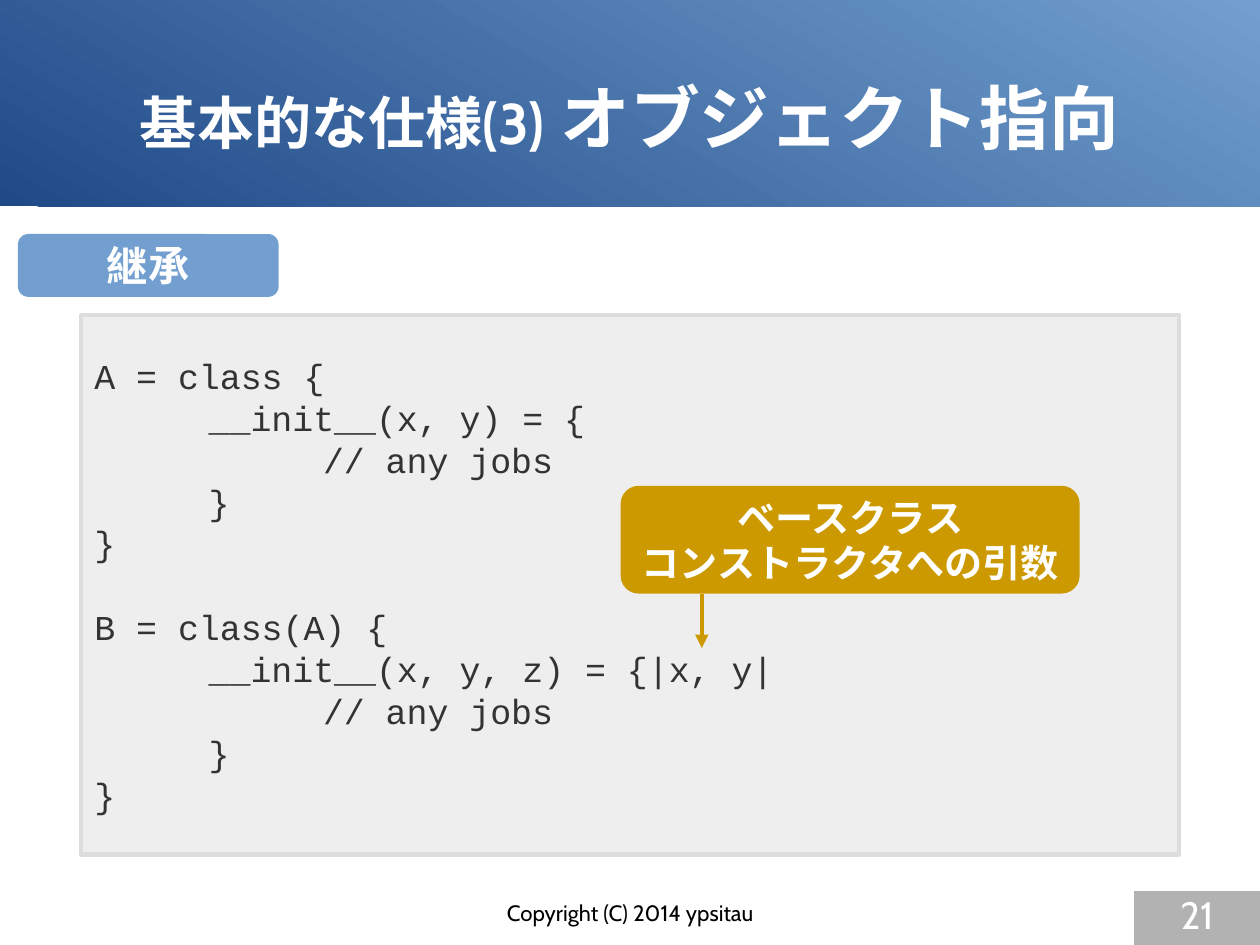
"""Build the slide on class inheritance with its code sample and callout."""
from lxml.etree import SubElement
from pptx import Presentation
from pptx.dml.color import RGBColor
from pptx.enum.shapes import MSO_CONNECTOR, MSO_SHAPE
from pptx.enum.text import MSO_ANCHOR, PP_ALIGN
from pptx.oxml.ns import qn
from pptx.util import Pt

COLORS = {
    "navy": "204A87",
    "sky": "729FCF",
    "white": "FFFFFF",
    "black": "000000",
    "code": "333333",
    "panel": "EEEEEE",
    "border": "DDDDDD",
    "gold": "CC9900",
    "gray": "B2B2B2",
}
SLIDE_WIDTH = 793.75
SLIDE_HEIGHT = 595.25
CODE_LINE_HEIGHT = 26.35
CODE_TAB = 72


def add_box(slide, kind, left, top, width, height, fill=None):
    """Add a preset shape without line or shadow."""
    shape = slide.shapes.add_shape(kind, Pt(left), Pt(top), Pt(width), Pt(height))
    shape.shadow.inherit = False
    shape.line.fill.background()
    if fill:
        shape.fill.solid()
        shape.fill.fore_color.rgb = RGBColor.from_string(COLORS[fill])
    return shape


def write_text(shape, text, font, size, color, bold=False, align=PP_ALIGN.CENTER,
               anchor=MSO_ANCHOR.MIDDLE, margin=0, wrap=False):
    """Fill a shape with text in one format."""
    frame = shape.text_frame
    frame.text = text
    frame.word_wrap = wrap
    frame.vertical_anchor = anchor
    frame.margin_left = frame.margin_right = Pt(margin)
    frame.margin_top = frame.margin_bottom = Pt(margin / 2)
    for paragraph in frame.paragraphs:
        paragraph.alignment = align
        for run in paragraph.runs:
            run.font.name = font
            run.font.size = Pt(size)
            run.font.bold = bold
            run.font.color.rgb = RGBColor.from_string(COLORS[color])


presentation = Presentation()
presentation.slide_width = Pt(SLIDE_WIDTH)
presentation.slide_height = Pt(SLIDE_HEIGHT)
slide = presentation.slides.add_slide(presentation.slide_layouts[5])

band = add_box(slide, MSO_SHAPE.RECTANGLE, 0, 0, SLIDE_WIDTH, 130)
band.fill.gradient()
band.fill.gradient_angle = 60
for stop, color in zip(band.fill.gradient_stops, ("navy", "sky")):
    stop.color.rgb = RGBColor.from_string(COLORS[color])

title = slide.shapes.title
title.left, title.top, title.width, title.height = Pt(39.6), Pt(23.8), Pt(714.2), Pt(99.4)
title._element.addprevious(band._element)
write_text(title, "基本的な仕様(3)", "Cabin", 36, "white", bold=True, wrap=True)
topic = title.text_frame.paragraphs[0].add_run()
topic.text = " オブジェクト指向"
topic.font.name = "Cabin"
topic.font.size = Pt(44)
topic.font.bold = True
topic.font.color.rgb = RGBColor.from_string(COLORS["white"])

code_lines = [
    "A = class {",
    "\t__init__(x, y) = {",
    "\t\t// any jobs",
    "\t}",
    "}",
    "B = class(A) {",
    "\t__init__(x, y, z) = {|x, y|",
    "\t\t// any jobs",
    "\t}",
    "}",
]
code_panel = add_box(slide, MSO_SHAPE.RECTANGLE, 51, 198.5, 691.9, 339.8, "panel")
code_panel.line.color.rgb = RGBColor.from_string(COLORS["border"])
code_panel.line.width = Pt(2.83)
write_text(code_panel, "\n".join(code_lines), "Courier New", 22, "code",
           align=PP_ALIGN.LEFT, margin=8.5)
for paragraph in code_panel.text_frame.paragraphs:
    tab_list = SubElement(paragraph._p.get_or_add_pPr(), qn("a:tabLst"))
    for level in (1, 2):
        SubElement(tab_list, qn("a:tab"), pos=str(Pt(level * CODE_TAB)), algn="l")
    paragraph.line_spacing = Pt(CODE_LINE_HEIGHT)
    if paragraph.text.startswith("B ="):
        paragraph.space_before = Pt(CODE_LINE_HEIGHT)

badge = add_box(slide, MSO_SHAPE.ROUNDED_RECTANGLE, 11.3, 147.4, 164.2, 39.6, "sky")
write_text(badge, "継承", "Cabin", 26, "white", bold=True, margin=7.2)

callout = add_box(slide, MSO_SHAPE.ROUNDED_RECTANGLE, 391, 306, 289.2, 67.9, "gold")
write_text(callout, "ベースクラス\nコンストラクタへの引数", "Courier New", 24, "white",
           bold=True, margin=7.2)

arrow = slide.shapes.add_connector(MSO_CONNECTOR.STRAIGHT, Pt(442.1), Pt(374.2),
                                   Pt(442.1), Pt(408.2))
arrow.line.color.rgb = RGBColor.from_string(COLORS["gold"])
arrow.line.width = Pt(2.83)
SubElement(arrow.line._get_or_add_ln(), qn("a:tailEnd"), type="triangle")
SubElement(arrow._element.spPr, qn("a:effectLst"))

footer = slide.shapes.add_textbox(Pt(271.4), Pt(566.6), Pt(251.3), Pt(29.5))
write_text(footer, "Copyright (C) 2014 ypsitau", "Cabin", 14, "black",
           anchor=MSO_ANCHOR.TOP, wrap=True)

page_number = add_box(slide, MSO_SHAPE.RECTANGLE, 714.4, 561.3, 79.35, 33.95, "gray")
write_text(page_number, "21", "Cabin", 24, "white", anchor=MSO_ANCHOR.TOP, wrap=True)

presentation.save("out.pptx")
